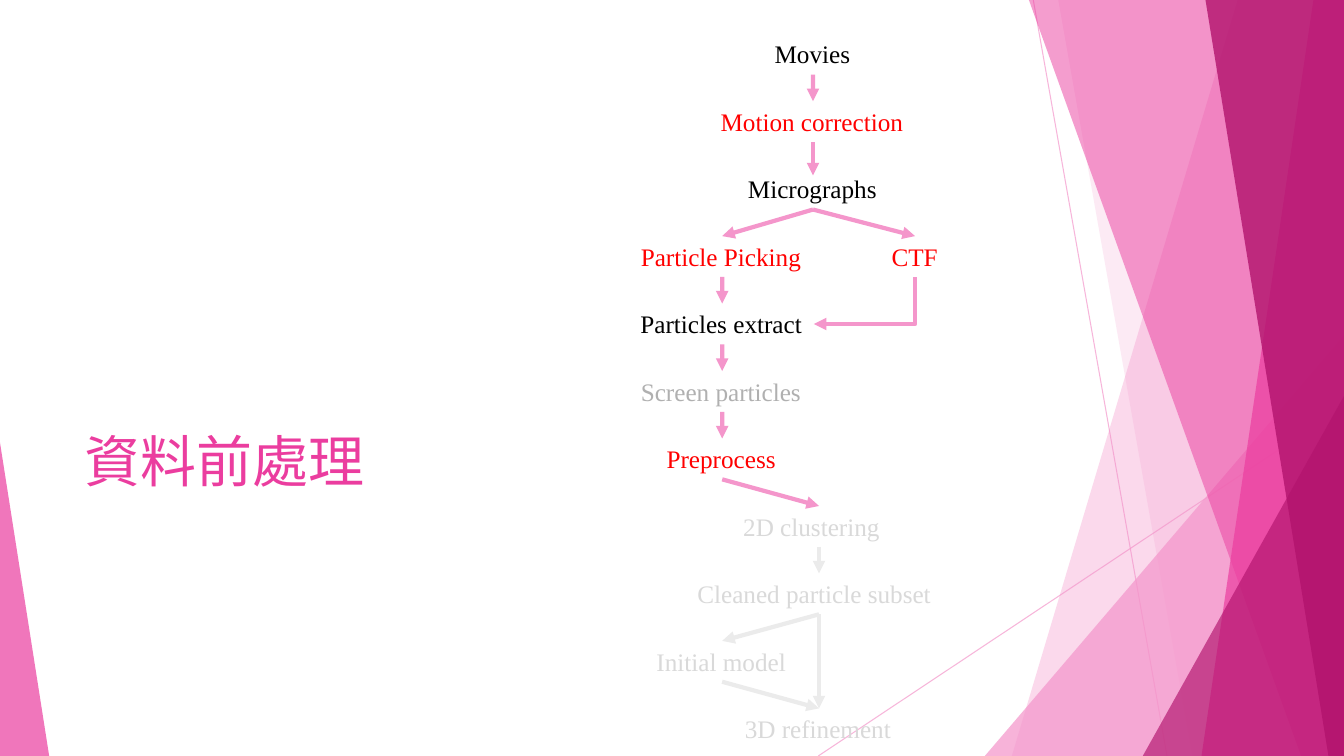
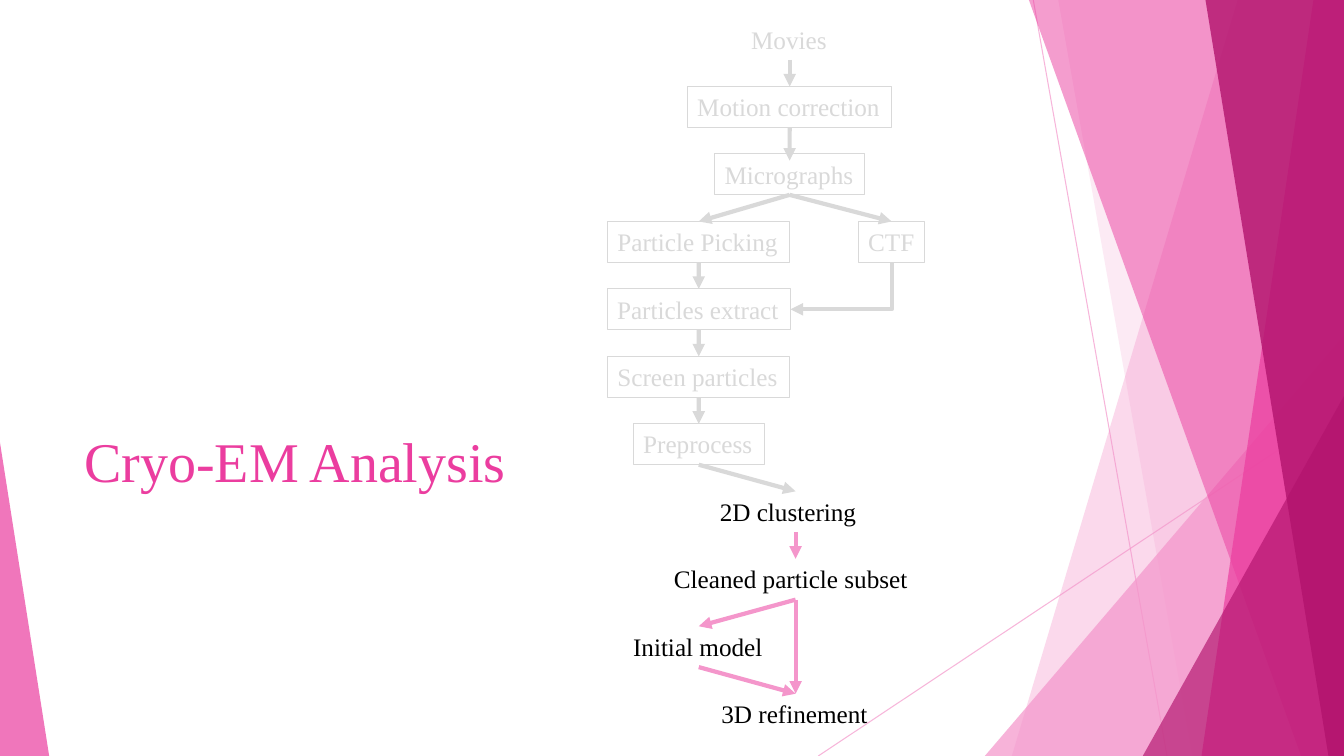
"""Builds two slides on the cryo-EM workflow beside a faceted pink border."""
from pptx import Presentation
from pptx import util as u
from pptx.dml.color import RGBColor
from pptx.enum import shapes, text
from pptx.oxml.ns import qn
from lxml import etree

WIDTH, HEIGHT = 33.87, 19.05
FONT = "Times New Roman"
COLOURS = {
    "light": "F496CB", "pink": "EB3D9F", "dark": "B2136D",
    "black": "000000", "red": "FF0000", "grey": "B0B0B0",
    "pale": "D9D9D9", "faint": "EBEBEB",
}

ROW_PITCH, BOX_HEIGHT = 1.7, 1.03
COLUMNS = {"left": 18.2, "main": 20.49, "lower": 20.64, "right": 23.06}
EARLY_STEPS = {
    "Movies": (0, "main", 2.44),
    "Motion correction": (1, "main", 5.16),
    "Micrographs": (2, "main", 3.78),
    "Particle Picking": (3, "left", 4.6),
    "CTF": (3, "right", 1.68),
    "Particles extract": (4, "left", 4.62),
    "Screen particles": (5, "left", 4.6),
    "Preprocess": (6, "left", 3.3),
}
LATE_STEPS = {
    "2D clustering": (7, "lower", 4.32),
    "Cleaned particle subset": (8, "lower", 6.63),
    "Initial model": (9, "left", 3.81),
    "3D refinement": (10, "lower", 4.24),
}
STEPS = EARLY_STEPS | LATE_STEPS
ARROWS = [
    ("Movies", "Motion correction"),
    ("Micrographs", "Particle Picking"),
    ("Particle Picking", "Particles extract"),
    ("Particles extract", "Screen particles"),
    ("Screen particles", "Preprocess"),
    ("Micrographs", "CTF"),
    ("Preprocess", "2D clustering"),
    ("2D clustering", "Cleaned particle subset"),
    ("Cleaned particle subset", "Initial model"),
    ("Initial model", "3D refinement"),
    ("Cleaned particle subset", "3D refinement"),
]


def rgb(name):
    return RGBColor.from_string(COLOURS[name])


def set_opacity(shape, percent):
    colour = next(shape._element.iter(qn("a:srgbClr")))
    etree.SubElement(colour, qn("a:alpha"), val=str(percent * 1000))


def fill_facet(shape, colour, opacity):
    shape.shadow.inherit = False
    shape.fill.solid()
    shape.fill.fore_color.rgb = rgb(colour)
    shape.line.fill.background()
    set_opacity(shape, opacity)


def add_band(page, top_x, bottom_x, colour, opacity):
    builder = page.shapes.build_freeform(u.Cm(top_x), 0)
    corners = [(WIDTH, 0), (WIDTH, HEIGHT), (bottom_x, HEIGHT)]
    builder.add_line_segments([(u.Cm(x), u.Cm(y)) for x, y in corners], close=True)
    fill_facet(builder.convert_to_shape(), colour, opacity)


def add_triangle(page, left, top, right, apex, colour, opacity):
    shape = page.shapes.add_shape(
        shapes.MSO_SHAPE.ISOSCELES_TRIANGLE,
        u.Cm(left), u.Cm(top), u.Cm(right - left), u.Cm(HEIGHT - top))
    shape.adjustments[0] = apex
    fill_facet(shape, colour, opacity)


def add_line(page, start, end, colour, width, kind=shapes.MSO_CONNECTOR.STRAIGHT):
    line = page.shapes.add_connector(kind, *map(u.Cm, start + end))
    line.line.color.rgb = rgb(colour)
    line.line.width = u.Pt(width)
    etree.SubElement(line._element.spPr, qn("a:effectLst"))
    return line


def add_arrow(page, start, end, colour, kind=shapes.MSO_CONNECTOR.STRAIGHT):
    arrow = add_line(page, start, end, colour, 3, kind)
    etree.SubElement(arrow.line._get_or_add_ln(), qn("a:tailEnd"), type="triangle")
    return arrow


def add_corner_arrow(page, start, end, colour):
    """Draw an arrow that runs down from start and then left to end."""
    middle_x, middle_y = (start[0] + end[0]) / 2, (start[1] + end[1]) / 2
    half_drop, half_run = (end[1] - start[1]) / 2, (start[0] - end[0]) / 2
    arrow = add_arrow(
        page, (middle_x - half_drop, middle_y - half_run),
        (middle_x + half_drop, middle_y + half_run), colour,
        shapes.MSO_CONNECTOR.ELBOW)
    properties = arrow._element.spPr
    properties.find(qn("a:xfrm")).set("rot", "5400000")
    properties.find(qn("a:prstGeom")).set("prst", "bentConnector2")


def add_text(page, words, left, top, width, height, size, colour):
    box = page.shapes.add_textbox(*map(u.Cm, (left, top, width, height)))
    box.text_frame.word_wrap = True
    para = box.text_frame.paragraphs[0]
    para.text = words
    para.font.name = FONT
    para.font.size = u.Pt(size)
    para.font.color.rgb = rgb(colour)
    return box


def add_border(page):
    for start, end in [((26.04, 0), (29.41, HEIGHT)), ((WIDTH, 10.24), (20.62, HEIGHT))]:
        set_opacity(add_line(page, start, end, "light", 0.75), 70)
    add_band(page, 31.19, 25.5, "light", 36)
    add_band(page, 26.67, 30.05, "light", 20)
    add_triangle(page, 24.82, 8.46, WIDTH, 1, "light", 72)
    add_band(page, 25.93, 32.79, "pink", 50)
    add_band(page, 33.1, 30.28, "pink", 70)
    add_band(page, 30.38, 33.48, "dark", 80)
    add_triangle(page, 28.8, 9.98, WIDTH, 1, "dark", 66)
    add_triangle(page, 0, 11.15, 1.24, 0, "pink", 70)


def add_flow(page, shift, top, step_colours, early_arrow, late_arrow, framed=()):
    def centre(name):
        return COLUMNS[STEPS[name][1]] + shift

    def row_top(name):
        return top + STEPS[name][0] * ROW_PITCH

    boxes = {}
    for name, (_, _, width) in STEPS.items():
        box = add_text(page, name, centre(name) - width / 2, row_top(name),
                       width, BOX_HEIGHT, 18, step_colours[name])
        box.text_frame.word_wrap = False
        box.text_frame.auto_size = text.MSO_AUTO_SIZE.SHAPE_TO_FIT_TEXT
        if name in framed:
            box.line.color.rgb = rgb("pale")
            box.line.width = u.Pt(0.75)
        boxes[name] = box

    def bottom(name):
        return centre(name), row_top(name) + BOX_HEIGHT

    for source, target in ARROWS:
        colour = early_arrow if source in EARLY_STEPS else late_arrow
        arrow = add_arrow(page, bottom(source), (centre(target), row_top(target)), colour)
        arrow.begin_connect(boxes[source], 2)
        arrow.end_connect(boxes[target], 0)

    inside = (centre("Micrographs"), row_top("Micrographs") + 0.17)
    arrow = add_arrow(page, bottom("Motion correction"), inside, early_arrow)
    arrow.begin_connect(boxes["Motion correction"], 2)

    extract = "Particles extract"
    side = (centre(extract) + STEPS[extract][2] / 2, row_top(extract) + BOX_HEIGHT / 2)
    add_corner_arrow(page, bottom("CTF"), side, early_arrow)


def add_page(deck, title):
    page = deck.slides.add_slide(deck.slide_layouts[6])
    add_border(page)
    box = add_text(page, title, 1.88, 7.49, 23.88, 5.08, 40, "pink")
    box.text_frame.vertical_anchor = text.MSO_ANCHOR.BOTTOM
    return page


def main():
    deck = Presentation()
    deck.slide_width, deck.slide_height = u.Cm(WIDTH), u.Cm(HEIGHT)

    late_pale = dict.fromkeys(LATE_STEPS, "pale")
    processing = dict.fromkeys(EARLY_STEPS, "red") | late_pale
    processing |= dict.fromkeys(["Movies", "Micrographs", "Particles extract"], "black")
    processing["Screen particles"] = "grey"
    add_flow(add_page(deck, "資料前處理"), 0, 0.85, processing, "light", "faint")

    analysis = dict.fromkeys(EARLY_STEPS, "pale") | dict.fromkeys(LATE_STEPS, "black")
    framed = [name for name in EARLY_STEPS if name != "Movies"]
    add_flow(add_page(deck, "Cryo-EM Analysis"), -0.59, 0.48, analysis,
             "pale", "light", framed)

    deck.save("out.pptx")


if __name__ == "__main__":
    main()
